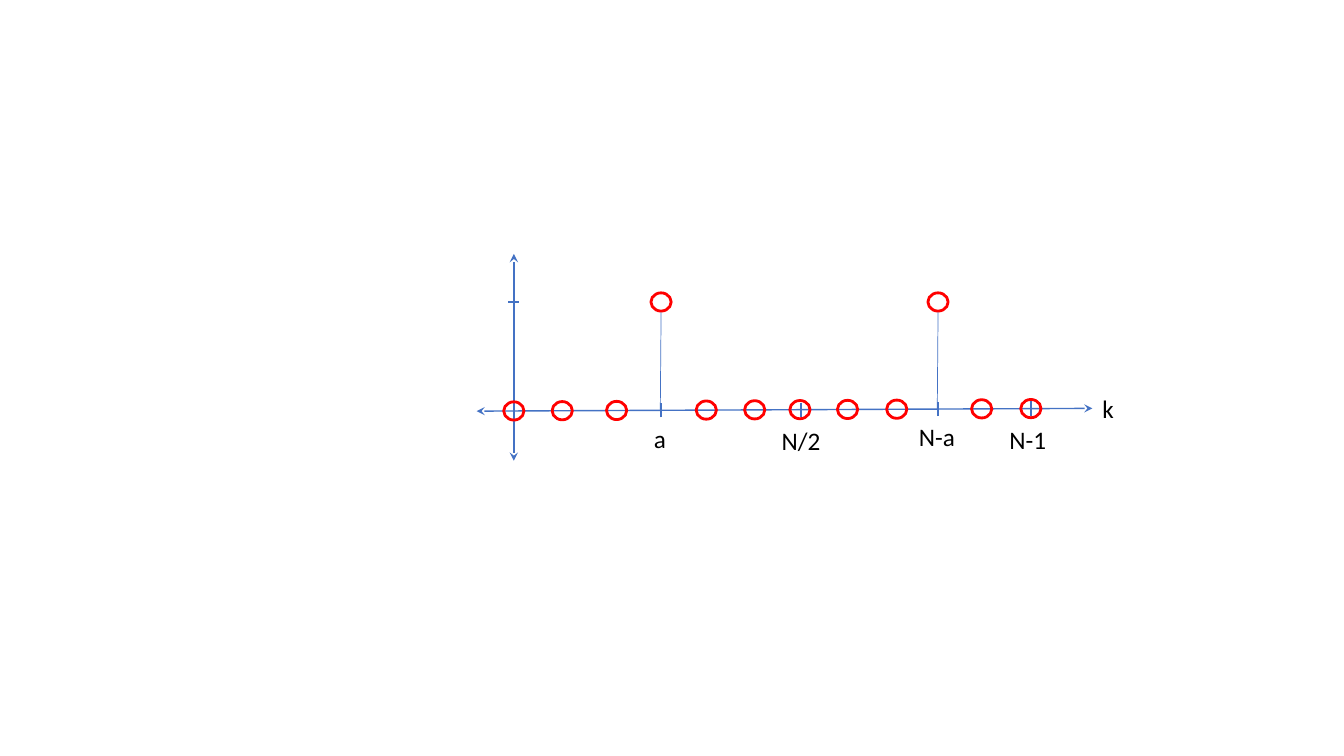
import pptx
import pptx.dml.color
import pptx.enum.shapes
import pptx.enum.text
import pptx.oxml.ns
import pptx.util
from lxml import etree

Cm = pptx.util.Cm
BLUE = "4472C4"
RED = "FF0000"
BLACK = "000000"
AXIS_WIDTH, AXIS_HEIGHT = 15.52, 5.21
ORIGIN_X, PEAK_Y = 0.94, 1.21
DOT_WIDTH, DOT_HEIGHT = 0.51, 0.46
ZERO_SAMPLES = [ORIGIN_X, 2.16, 3.53, 5.79, 7.01, 8.15, 9.35, 10.59, 12.73, 13.97]
PEAK_SAMPLES = [4.65, 11.63]
TICKS = [*PEAK_SAMPLES, 8.18, 13.97]
LABELS = [
    ("a", 4.22, 4.14, 0.81),
    ("k", 15.52, 3.38, 0.81),
    ("N-a", 10.9, 4.09, 1.42),
    ("N-1", 13.18, 4.17, 1.45),
    ("N/2", 7.44, 4.19, 1.5),
]


def color(value):
    return pptx.dml.color.RGBColor.from_string(value)


def axis_y(x):
    return 3.96 - 0.07 * x / AXIS_WIDTH


def add_line(page, left, top, start, end, width=1, arrows=False):
    line = page.shapes.add_connector(
        pptx.enum.shapes.MSO_CONNECTOR.STRAIGHT,
        Cm(left + start[0]), Cm(top + start[1]),
        Cm(left + end[0]), Cm(top + end[1]),
    )
    line.line.color.rgb = color(BLUE)
    line.line.width = pptx.util.Pt(width)
    properties = line.element.spPr
    etree.SubElement(properties, pptx.oxml.ns.qn("a:effectLst"))
    if arrows:
        outline = properties.find(pptx.oxml.ns.qn("a:ln"))
        for name in ("a:headEnd", "a:tailEnd"):
            etree.SubElement(outline, pptx.oxml.ns.qn(name), type="stealth")


def add_sample(page, left, top, x, y):
    dot = page.shapes.add_shape(
        pptx.enum.shapes.MSO_SHAPE.OVAL,
        Cm(left + x - DOT_WIDTH / 2), Cm(top + y - DOT_HEIGHT / 2),
        Cm(DOT_WIDTH), Cm(DOT_HEIGHT),
    )
    dot.shadow.inherit = False
    dot.fill.background()
    dot.line.color.rgb = color(RED)
    dot.line.width = pptx.util.Pt(2)


def add_label(page, text, left, top, width):
    box = page.shapes.add_textbox(Cm(left), Cm(top), Cm(width), Cm(1.03))
    frame = box.text_frame
    frame.text = text
    frame.word_wrap = False
    frame.auto_size = pptx.enum.text.MSO_AUTO_SIZE.SHAPE_TO_FIT_TEXT
    span = frame.paragraphs[0].runs[0]
    span.font.name = "Calibri"
    span.font.size = pptx.util.Pt(18)
    span.font.color.rgb = color(BLACK)


def draw_spectrum(page, left, top):
    add_line(page, left, top, (0, axis_y(0)),
             (AXIS_WIDTH, axis_y(AXIS_WIDTH)), arrows=True)
    add_line(page, left, top, (ORIGIN_X, AXIS_HEIGHT), (ORIGIN_X, 0), arrows=True)
    add_line(page, left, top, (ORIGIN_X - 0.14, PEAK_Y), (ORIGIN_X + 0.14, PEAK_Y))
    for x in TICKS:
        add_line(page, left, top, (x, axis_y(x) + 0.18), (x, axis_y(x) - 0.18))
    for x in PEAK_SAMPLES:
        add_line(page, left, top, (x - 0.02, axis_y(x)),
                 (x, PEAK_Y + DOT_HEIGHT / 2), width=0.5)
        add_sample(page, left, top, x, PEAK_Y)
    for x in ZERO_SAMPLES:
        add_sample(page, left, top, x, axis_y(x))
    for text, x, y, width in LABELS:
        add_label(page, text, left + x, top + y, width)


def main():
    deck = pptx.Presentation()
    deck.slide_width = Cm(33.87)
    deck.slide_height = Cm(19.05)
    page = deck.slides.add_slide(deck.slide_layouts[6])
    draw_spectrum(page, 12.01, 6.4)
    deck.save("out.pptx")


if __name__ == "__main__":
    main()
